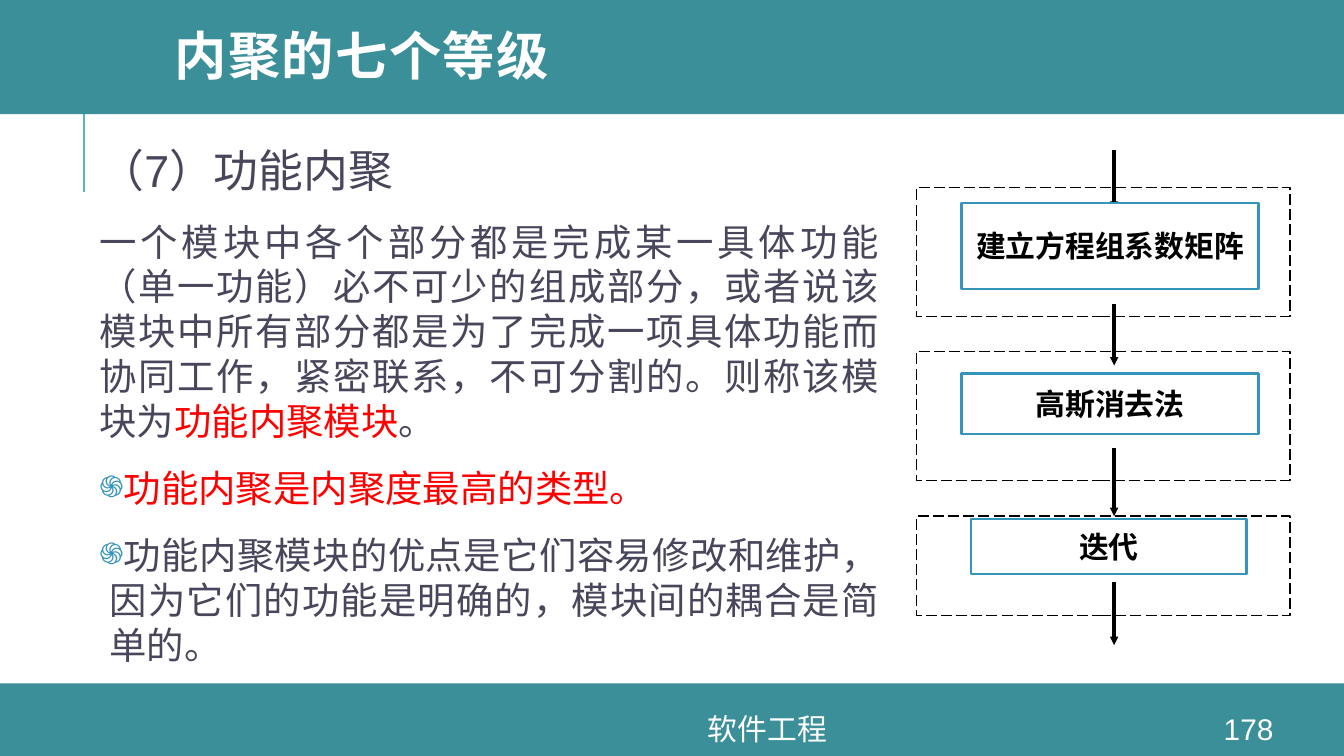
from pptx import Presentation
from pptx.dml.color import RGBColor
from pptx.enum.dml import MSO_LINE_DASH_STYLE as Dash
from pptx.enum.shapes import MSO_CONNECTOR as Connector, MSO_SHAPE as Shape
from pptx.enum.text import MSO_ANCHOR as Anchor, MSO_AUTO_SIZE as AutoSize, PP_ALIGN as Align
from pptx.oxml.ns import qn
from pptx.util import Emu, Pt
from lxml.etree import SubElement

SCALE = 4572
COLORS = {
    "teal": "3A8F98", "rule": "58B6C0", "white": "FFFFFF", "black": "000000",
    "text": "48465B", "accent": "FF0000", "blue": "3494BA",
}
HAN_FONT = "Noto Sans CJK SC"
TITLE_FONT = {"size": Pt(28), "name": "Montserrat", "bold": True}
HEADING_FONT = {"size": Pt(24), "name": "Arial"}
BODY_FONT = {"size": Pt(20), "name": "Arial"}
FOOTER_FONT = {"size": Pt(16), "name": "Arial"}
STEP_FONT = {"size": Pt(16), "name": HAN_FONT, "bold": True}


def px(value):
    return Emu(value * SCALE)


def color(name):
    return RGBColor.from_string(COLORS[name])


def apply_format(target, values):
    for name, value in values.items():
        setattr(target, name, value)


def place(item, box):
    apply_format(item, dict(zip(("left", "top", "width", "height"), map(px, box))))


def add_span(para, text, font, tint):
    span = para.add_run()
    span.text = text
    apply_format(span.font, font)
    span.font.color.rgb = color(tint)
    SubElement(span.font._element, qn("a:ea"), typeface=HAN_FONT)
    return span


def add_rect(shapes, box, fill=None, line=None, width=1, dash=None):
    rect = shapes.add_shape(Shape.RECTANGLE, *map(px, box))
    rect.shadow.inherit = False
    if fill:
        rect.fill.solid()
        rect.fill.fore_color.rgb = color(fill)
    else:
        rect.fill.background()
    if line:
        rect.line.color.rgb = color(line)
        apply_format(rect.line, {"width": Pt(width), "dash_style": dash})
    else:
        rect.line.fill.background()
    return rect


def add_line(shapes, x, top, bottom, tint, width, arrow=False):
    line = shapes.add_connector(Connector.STRAIGHT, *map(px, (x, top, x, bottom)))
    line.line.color.rgb = color(tint)
    line.line.width = Pt(width)
    if arrow:
        SubElement(line.line._get_or_add_ln(), qn("a:tailEnd"), type="triangle", w="sm", len="sm")
    SubElement(line._element.spPr, qn("a:effectLst"))


def add_header(page, box):
    left, top, width, height = box
    add_line(page.shapes, left + 125, top + height - 34, top + height + 116, "rule", 1.5)
    add_rect(page.shapes, box, "teal")
    title = page.shapes.title
    place(title, (left + 240, top + 5, 1698, 182))
    title.element.getparent().append(title.element)
    frame = title.text_frame
    apply_format(frame, {"vertical_anchor": Anchor.MIDDLE, "auto_size": AutoSize.NONE})
    para = frame.paragraphs[0]
    apply_format(para, {"alignment": Align.LEFT, "line_spacing": 0.8})
    add_span(para, "内聚的七个等级", TITLE_FONT, "white").font._element.set("spc", "80")


def set_bullet(para, symbol):
    props = para._p.get_or_add_pPr()
    indent = px(15) if symbol else 0
    props.set("marL", str(indent))
    props.set("indent", str(-indent))
    if symbol:
        tint = SubElement(props, qn("a:buClr"))
        SubElement(tint, qn("a:srgbClr"), val=COLORS["blue"])
        SubElement(props, qn("a:buSzPct"), val="80000")
        SubElement(props, qn("a:buFont"), typeface="Arial")
        SubElement(props, qn("a:buChar"), char=symbol)
    else:
        SubElement(props, qn("a:buNone"))


def add_body(page, box):
    body = page.placeholders[1]
    place(body, box)
    body.element.getparent().append(body.element)
    frame = body.text_frame
    apply_format(frame, {
        "word_wrap": True, "auto_size": AutoSize.NONE, "vertical_anchor": Anchor.TOP,
        "margin_left": px(10), "margin_right": px(10),
        "margin_top": px(10), "margin_bottom": px(10),
    })
    paragraphs = [
        (HEADING_FONT, 37.5, None, [("（7）功能内聚", "text")]),
        (BODY_FONT, 24, None, [
            ("一个模块中各个部分都是完成某一具体功能（单一功能）必不可少的组成部分，"
             "或者说该模块中所有部分都是为了完成一项具体功能而协同工作，紧密联系，"
             "不可分割的。则称该模块为", "text"),
            ("功能内聚模块", "accent"),
            ("。", "text"),
        ]),
        (BODY_FONT, 24, "֍", [("功能内聚是内聚度最高的类型。", "accent")]),
        (BODY_FONT, 24, "֍", [
            ("功能内聚模块的优点是它们容易修改和维护，因为它们的功能是明确的，"
             "模块间的耦合是简单的。", "text"),
        ]),
    ]
    for index, (font, leading, symbol, spans) in enumerate(paragraphs):
        para = frame.add_paragraph() if index else frame.paragraphs[0]
        apply_format(para, {
            "alignment": Align.JUSTIFY, "line_spacing": Pt(leading),
            "space_before": Pt(12 if index else 0),
        })
        set_bullet(para, symbol)
        for text, tint in spans:
            add_span(para, text, font, tint)


def add_footer(page, box):
    left, top, width, height = box
    add_rect(page.shapes, box, "teal")
    for text, offset, label_width in (("软件工程", 521, 1242), ("178", 1778, 160)):
        label = page.shapes.add_textbox(*map(px, (left + offset, top + 45, label_width, 46)))
        frame = label.text_frame
        apply_format(frame, {"word_wrap": True, "vertical_anchor": Anchor.MIDDLE})
        para = frame.paragraphs[0]
        para.alignment = Align.CENTER
        add_span(para, text, FOOTER_FONT, "white")


def add_flow(page, box):
    left, top, width, height = box
    shapes = page.shapes.add_group_shape().shapes
    for offset, frame_height in ((55, 192), (299, 192), (544, 148)):
        frame_box = (left, top + offset, width, frame_height)
        add_rect(shapes, frame_box, None, "black", 0.75, Dash.LONG_DASH)
    for start, end in ((0, 88), (228, 320), (442, 544), (642, height)):
        add_line(shapes, left + 294, top + start, top + end, "black", 2.25, True)
    steps = [
        ("建立方程组系数矩阵", (67, 78, 442, 128)),
        ("高斯消去法", (67, 332, 442, 90)),
        ("迭代", (81, 548, 410, 82)),
    ]
    for text, (x, y, step_width, step_height) in steps:
        step = add_rect(shapes, (left + x, top + y, step_width, step_height), "white", "blue", 1.25)
        frame = step.text_frame
        apply_format(frame, {"word_wrap": False, "vertical_anchor": Anchor.MIDDLE})
        para = frame.paragraphs[0]
        para.alignment = Align.CENTER
        add_span(para, text, STEP_FONT, "black")


def main():
    deck = Presentation()
    apply_format(deck, {"slide_width": px(2000), "slide_height": px(1125)})
    page = deck.slides.add_slide(deck.slide_layouts[1])
    add_header(page, (0, -6, 2000, 176))
    add_body(page, (138, 178, 1180, 832))
    add_footer(page, (0, 1017, 2000, 108))
    add_flow(page, (1364, 224, 556, 736))
    deck.save("out.pptx")


if __name__ == "__main__":
    main()
